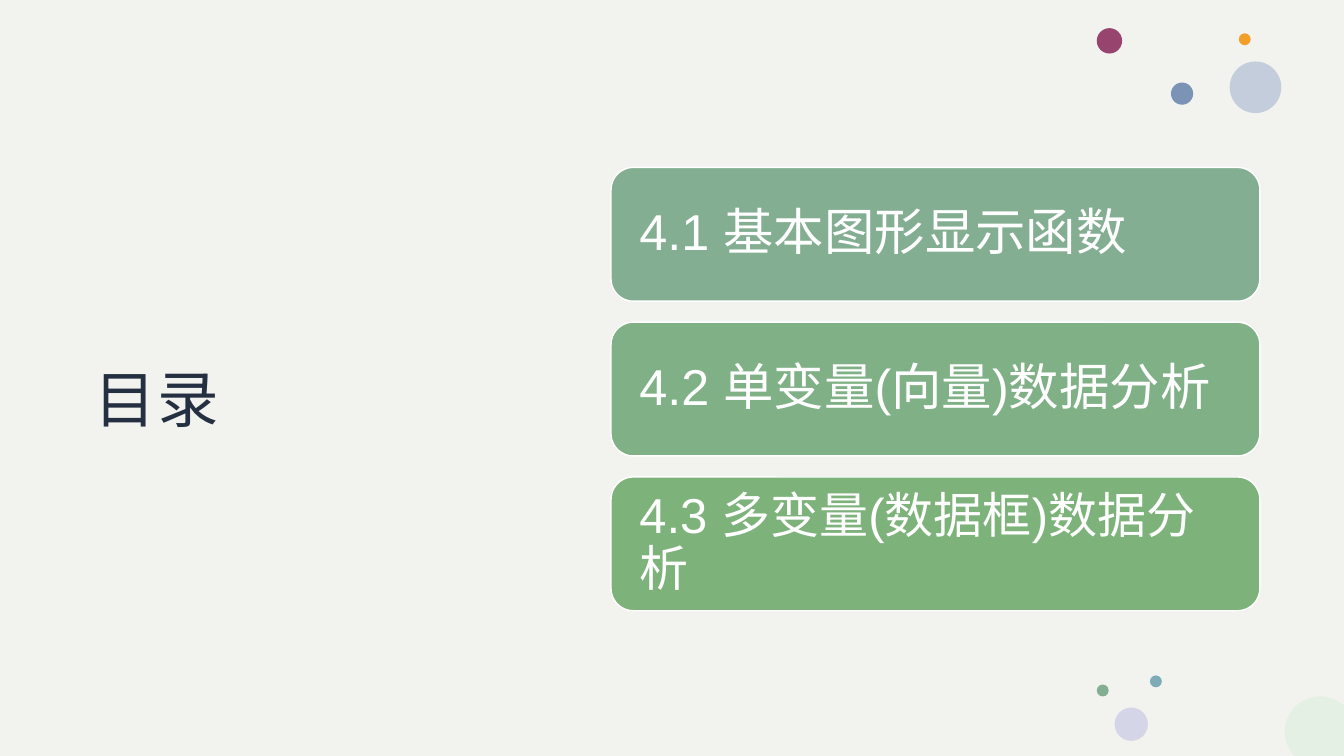
import math

from lxml import etree
from pptx import Presentation
from pptx import util as u
from pptx.dml.color import RGBColor
from pptx.enum import shapes, text
from pptx.oxml.ns import qn

COLORS = {
    "paper": "F2F2EE", "ink": "243041", "white": "FFFFFF",
    "plum": "97446E", "mist": "B2C0D6", "orange": "F39E29", "blue": "7B94B6",
    "teal": "7DACB7", "lilac": "D5D5E8", "sage": "83AE92", "mint": "E5F0E4",
    "green": "7FB086", "leaf": "7DB27A",
}
WIDTH, HEIGHT = 33.87, 19.05

DOTS = [
    (27.64, 0.71, 0.64, "plum", 100),
    (30.99, 1.55, 1.3, "mist", 72),
    (31.22, 0.84, 0.3, "orange", 100),
    (29.51, 2.08, 0.56, "blue", 100),
    (28.98, 17.02, 0.3, "teal", 100),
    (28.09, 17.83, 0.84, "lilac", 100),
    (27.64, 17.25, 0.3, "sage", 100),
]
CHAPTERS = [
    ("4.1 基本图形显示函数", "sage", 36),
    ("4.2 单变量(向量)数据分析", "green", 36),
    ("4.3 多变量(数据框)数据分析", "leaf", 35),
]
CARD_TOP, CARD_PITCH = 4.22, 3.9


class SlideBuilder:
    font = "Arial"

    def __init__(self, deck):
        self.page = deck.slides.add_slide(deck.slide_layouts[6])
        self.paint(self.page.background.fill, "paper")

    def paint(self, fill, color, opacity=100):
        fill.solid()
        fill.fore_color.rgb = RGBColor.from_string(COLORS[color])
        if opacity < 100:
            tint = fill._xPr.find(f".//{qn('a:srgbClr')}")
            etree.SubElement(tint, qn("a:alpha"), val=str(opacity * 1000))

    def finish(self, shape, color, opacity=100):
        shape.shadow.inherit = False
        self.paint(shape.fill, color, opacity)
        shape.line.fill.background()

    def add_label(self, box, words, size, color, spacing, margins, tracking=0):
        frame = box.text_frame
        layout = {"word_wrap": True, "vertical_anchor": text.MSO_ANCHOR.MIDDLE, **margins}
        for name, value in layout.items():
            setattr(frame, name, value)
        para = frame.paragraphs[0]
        para.alignment = text.PP_ALIGN.LEFT
        para.line_spacing = spacing
        span = para.add_run()
        span.text = words
        for name, value in {"name": self.font, "size": u.Pt(size)}.items():
            setattr(span.font, name, value)
        span.font.color.rgb = RGBColor.from_string(COLORS[color])
        if tracking:
            span._r.get_or_add_rPr().set("spc", str(round(tracking * 100)))

    def title(self, words):
        box = self.page.shapes.add_textbox(u.Cm(2.13), u.Cm(2.64), u.Cm(12.8), u.Cm(14.33))
        self.add_label(box, words, 44, "ink", 1.25, {}, tracking=1.4)

    def dot(self, left, top, size, color, opacity):
        circle = self.page.shapes.add_shape(
            shapes.MSO_SHAPE.OVAL, u.Cm(left), u.Cm(top), u.Cm(size), u.Cm(size))
        self.finish(circle, color, opacity)

    def corner_dot(self, x, y, radius, color):
        start = 180 - math.degrees(math.asin((HEIGHT - y) / radius))
        end = 270 + math.degrees(math.asin((WIDTH - x) / radius))
        steps = 40
        angles = [math.radians(start + (end - start) * i / steps) for i in range(steps + 1)]
        points = [(u.Cm(x + radius * math.cos(a)), u.Cm(y + radius * math.sin(a)))
                  for a in angles]
        outline = self.page.shapes.build_freeform(*points[0])
        outline.add_line_segments(points[1:] + [(u.Cm(WIDTH), u.Cm(HEIGHT))], close=True)
        self.finish(outline.convert_to_shape(), color)

    def card(self, top, words, color, size):
        box = self.page.shapes.add_shape(
            shapes.MSO_SHAPE.ROUNDED_RECTANGLE, u.Cm(15.4), u.Cm(top), u.Cm(16.35), u.Cm(3.37))
        self.finish(box, color)
        self.paint(box.line.fill, "white")
        box.line.width = u.Pt(1)
        margins = {"margin_left": u.Cm(0.55), "margin_right": u.Cm(0.55),
                   "margin_top": 0, "margin_bottom": 0}
        self.add_label(box, words, size, "white", 0.9, margins)


def main():
    deck = Presentation()
    deck.slide_width, deck.slide_height = u.Cm(WIDTH), u.Cm(HEIGHT)
    builder = SlideBuilder(deck)
    builder.title("目录")
    for dot in DOTS:
        builder.dot(*dot)
    builder.corner_dot(33.27, 18.44, 0.89, "mint")
    for row, chapter in enumerate(CHAPTERS):
        builder.card(CARD_TOP + row * CARD_PITCH, *chapter)
    deck.save("out.pptx")


if __name__ == "__main__":
    main()
